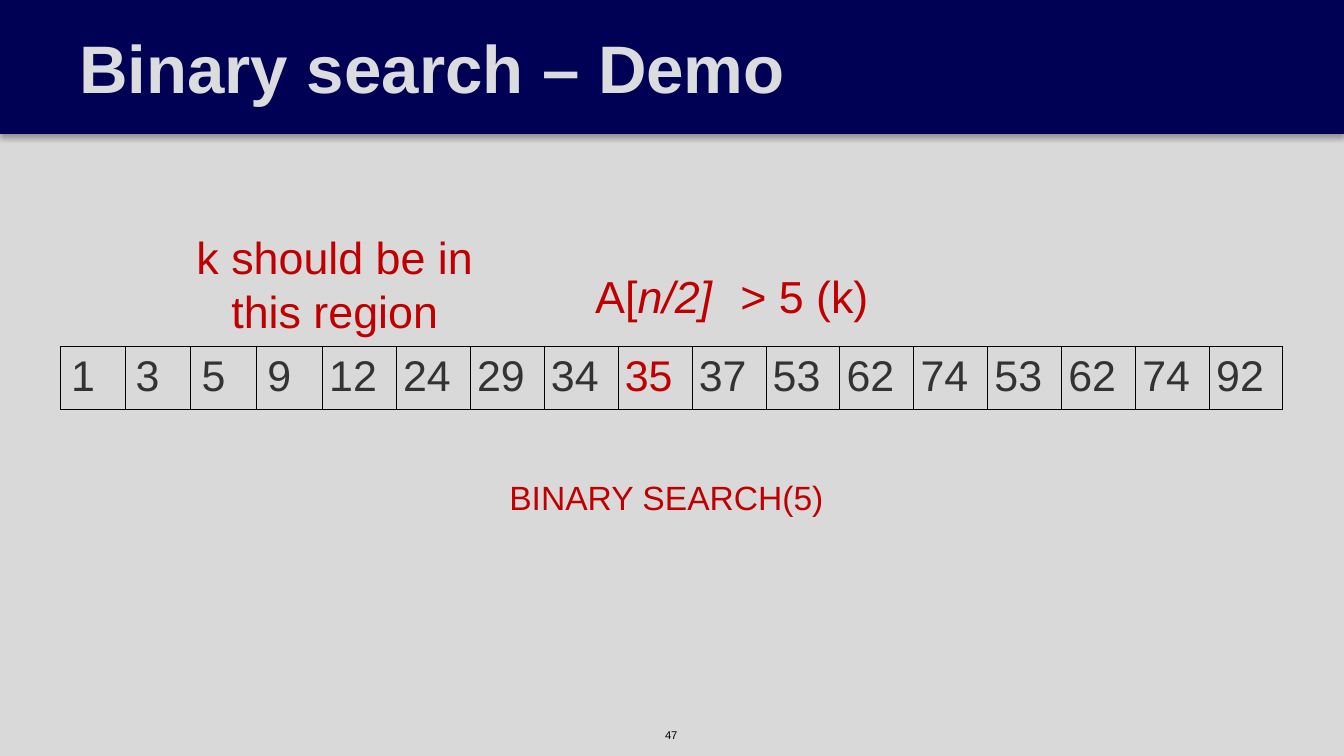
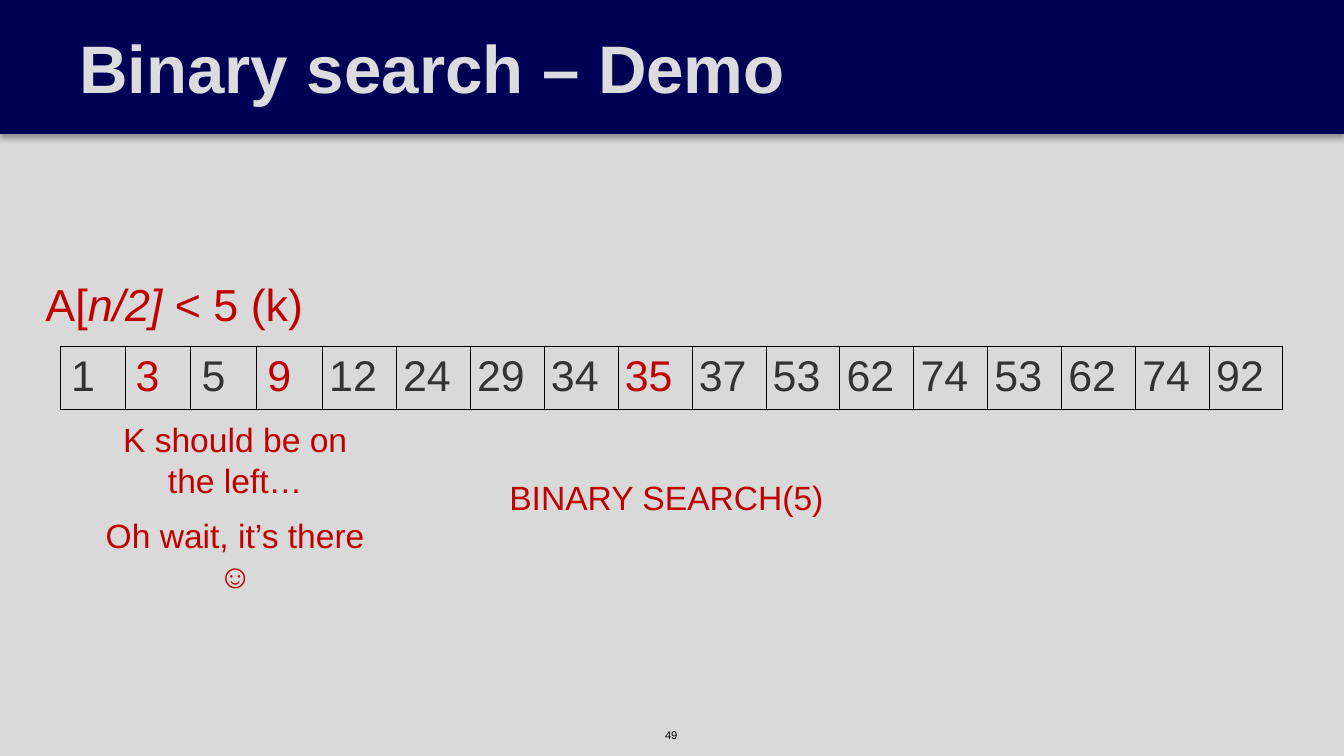
from dataclasses import dataclass

from lxml import etree
from pptx import Presentation
from pptx.dml.color import RGBColor
from pptx.enum.shapes import MSO_SHAPE
from pptx.enum.text import MSO_ANCHOR, MSO_AUTO_SIZE, PP_ALIGN
from pptx.oxml.ns import qn
from pptx.util import Inches, Pt

RECTANGLE = MSO_SHAPE.RECTANGLE
LEFT, CENTER = PP_ALIGN.LEFT, PP_ALIGN.CENTER
MIDDLE, TOP = MSO_ANCHOR.MIDDLE, MSO_ANCHOR.TOP
GROW, FIXED = MSO_AUTO_SIZE.SHAPE_TO_FIT_TEXT, MSO_AUTO_SIZE.NONE
TITLE_ONLY = 5


@dataclass(frozen=True)
class Theme:
    """Colours, font and type sizes shared by the slides."""
    font: str = "Arial"
    background: str = "D9D9D9"
    band: str = "000054"
    band_edge: str = "000052"
    title: str = "DBDCDD"
    ink: str = "333333"
    accent: str = "C00000"
    black: str = "000000"
    title_size: int = 36
    note_size: int = 24
    number_size: int = 23
    caption_size: int = 18
    page_size: int = 6


THEME = Theme()
TITLE = "Binary search – Demo"
NUMBERS = [1, 3, 5, 9, 12, 24, 29, 34, 35, 37, 53, 62, 74, 53, 62, 74, 92]
COLUMN_WIDTHS = [0.48] + [0.49] * 3 + [0.55] * 12 + [0.54]
BAND_BOX = (0, 0, 10, 0.99)
TITLE_BOX = (0, 0, 9.03, 0.99)
ARRAY_BOX = (0.45, 2.58, 9.1, 0.47)
CALL_BOX = (3.78, 3.54, 2.38, 0.32)
PAGE_BOX = (4.85, 5.37, 0.3, 0.2)


def color(value):
    """Turn a hex string into a colour."""
    return RGBColor.from_string(value)


def inches(box):
    """Turn a box of numbers into lengths."""
    return [Inches(length) for length in box]


def write(frame, text, size=THEME.note_size, ink=THEME.accent, bold=False,
          align=LEFT, insets=(0.1, 0.05, 0.1, 0.05)):
    """Fill a text frame; text is a string or a list of (text, italic) runs."""
    (frame.margin_left, frame.margin_top,
     frame.margin_right, frame.margin_bottom) = inches(insets)
    paragraph = frame.paragraphs[0]
    paragraph.alignment = align
    for words, italic in [(text, False)] if isinstance(text, str) else text:
        run = paragraph.add_run()
        run.text = words
        font = run.font
        font.name, font.size = THEME.font, Pt(size)
        font.bold, font.italic = bold, italic
        font.color.rgb = color(ink)


def add_text(slide, box, text, wrap=True, **style):
    """Add a text box that grows with its text."""
    frame = slide.shapes.add_textbox(*inches(box)).text_frame
    frame.word_wrap = wrap
    frame.auto_size = GROW
    write(frame, text, **style)


def add_shadow(shape):
    """Cast a soft shadow straight below a shape."""
    effects = shape._element.spPr.find(qn("a:effectLst"))
    shadow = etree.SubElement(effects, qn("a:outerShdw"), blurRad=str(Pt(3.1)),
                              dist=str(Pt(1.8)), dir="5400000", rotWithShape="0")
    tint = etree.SubElement(shadow, qn("a:srgbClr"), val=THEME.black)
    etree.SubElement(tint, qn("a:alpha"), val="35000")


def add_header(slide, band_box, title_box):
    """Draw the band and set the title over it."""
    band = slide.shapes.add_shape(RECTANGLE, *inches(band_box))
    band.fill.solid()
    band.fill.fore_color.rgb = color(THEME.band)
    band.line.color.rgb = color(THEME.band_edge)
    band.line.width = Pt(0.75)
    band.shadow.inherit = False
    add_shadow(band)

    title = slide.shapes.title
    band._element.addnext(title._element)
    title.left, title.top, title.width, title.height = inches(title_box)
    title.fill.solid()
    title.fill.fore_color.rgb = color(THEME.band)
    frame = title.text_frame
    frame.vertical_anchor = MIDDLE
    frame.auto_size = FIXED
    frame.word_wrap = True
    write(frame, TITLE, size=THEME.title_size, ink=THEME.title, bold=True,
          insets=(0.59, 0.1, 0.4, 0.1))


def add_borders(cell):
    """Draw thin lines on the four sides of a cell."""
    properties = cell._tc.get_or_add_tcPr()
    for index, side in enumerate(("a:lnL", "a:lnR", "a:lnT", "a:lnB")):
        line = etree.Element(qn(side), w=str(Pt(0.5)))
        fill = etree.SubElement(line, qn("a:solidFill"))
        etree.SubElement(fill, qn("a:srgbClr"), val=THEME.black)
        properties.insert(index, line)


def add_array(slide, box, probed):
    """Draw the sorted array as one row, with the probed values in the accent."""
    table = slide.shapes.add_table(1, len(NUMBERS), *inches(box)).table
    table.first_row = table.horz_banding = False
    for column, width in zip(table.columns, COLUMN_WIDTHS):
        column.width = Inches(width)
    for cell, number in zip(table.rows[0].cells, NUMBERS):
        cell.fill.background()
        cell.vertical_anchor = TOP
        add_borders(cell)
        write(cell.text_frame, str(number), size=THEME.number_size,
              ink=THEME.accent if number in probed else THEME.ink)
        cell.margin_left = Inches(0.08 if number < 10 else 0.05)
        cell.margin_top = Inches(0.04)
        cell.margin_right = cell.margin_bottom = 0


def add_demo_slide(deck, page, probed):
    """Add a slide with the header, array, call and page number."""
    slide = deck.slides.add_slide(deck.slide_layouts[TITLE_ONLY])
    add_text(slide, PAGE_BOX, page, wrap=False, size=THEME.page_size,
             ink=THEME.black)
    add_header(slide, BAND_BOX, TITLE_BOX)
    add_array(slide, ARRAY_BOX, probed)
    add_text(slide, CALL_BOX, "BINARY SEARCH(5)", size=THEME.caption_size,
             insets=(0.01, 0.01, 0, 0))
    return slide


def add_first_probe(deck):
    """Show the first comparison, which sends the search left."""
    slide = add_demo_slide(deck, "47", {35})
    add_text(slide, (4.33, 1.95, 1.08, 0.5), [("A[", False), ("n/2]", True)],
             wrap=False)
    add_text(slide, (5.41, 1.95, 1.16, 0.5), "> 5 (k)", wrap=False)
    add_text(slide, (1.2, 1.66, 2.58, 0.91), "k should be in this region",
             align=CENTER)


def add_last_probe(deck):
    """Show the last comparison, which finds the key."""
    slide = add_demo_slide(deck, "49", {3, 9, 35})
    add_text(slide, (0.24, 2.01, 2.14, 0.5),
             [("A[", False), ("n/2] ", True), ("< 5 (k)", False)], wrap=False)
    remarks = ["K should be on the left…", "Oh wait, it’s there ☺"]
    for row, remark in enumerate(remarks):
        add_text(slide, (0.67, 3.07 + 0.71 * row, 2.16, 0.71), remark,
                 size=THEME.caption_size, align=CENTER)


def main():
    """Build and save the deck."""
    deck = Presentation()
    deck.slide_width = Inches(10)
    deck.slide_height = deck.slide_width * 9 // 16
    backdrop = deck.slide_master.background.fill
    backdrop.solid()
    backdrop.fore_color.rgb = color(THEME.background)
    add_first_probe(deck)
    add_last_probe(deck)
    deck.save("out.pptx")


if __name__ == "__main__":
    main()
